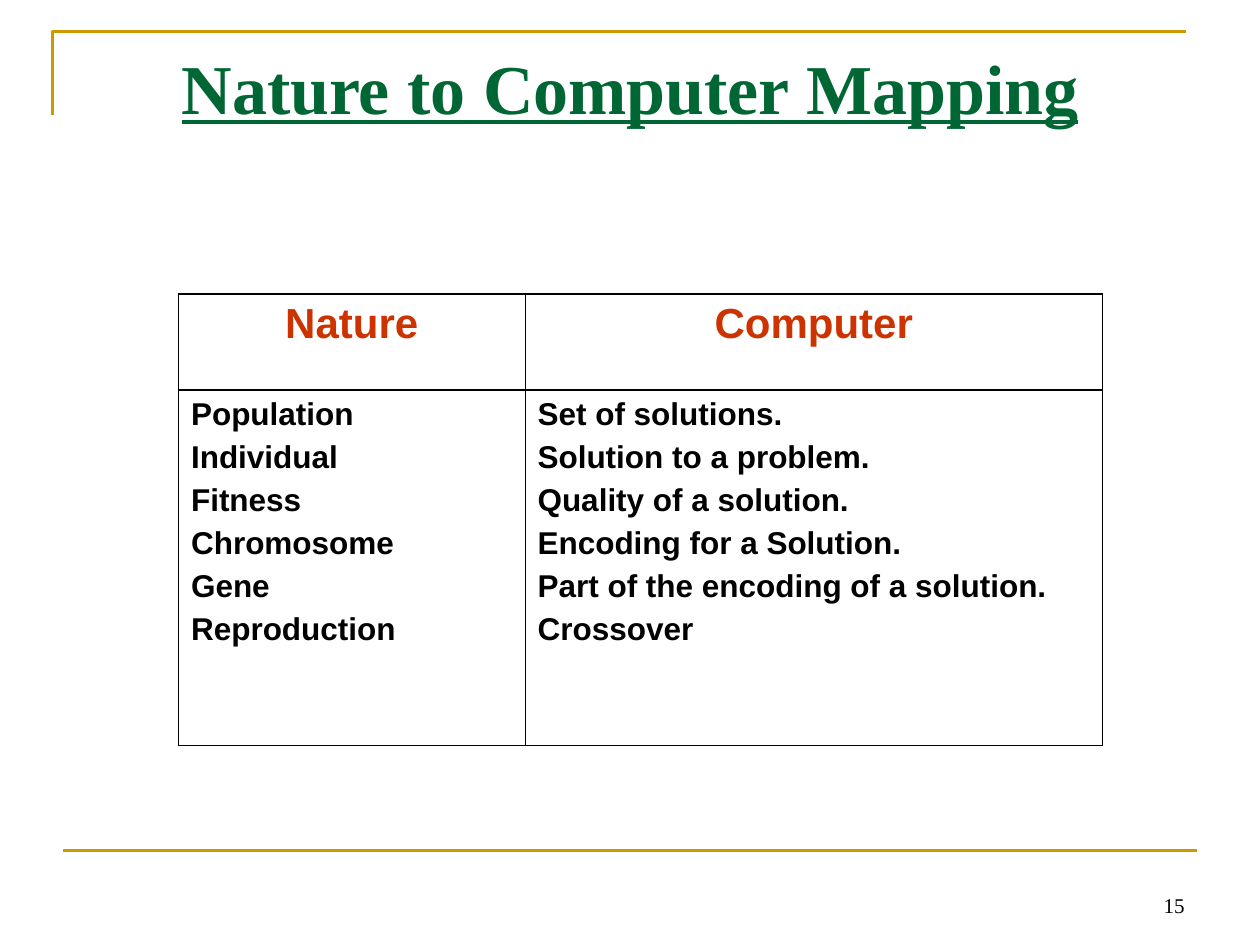
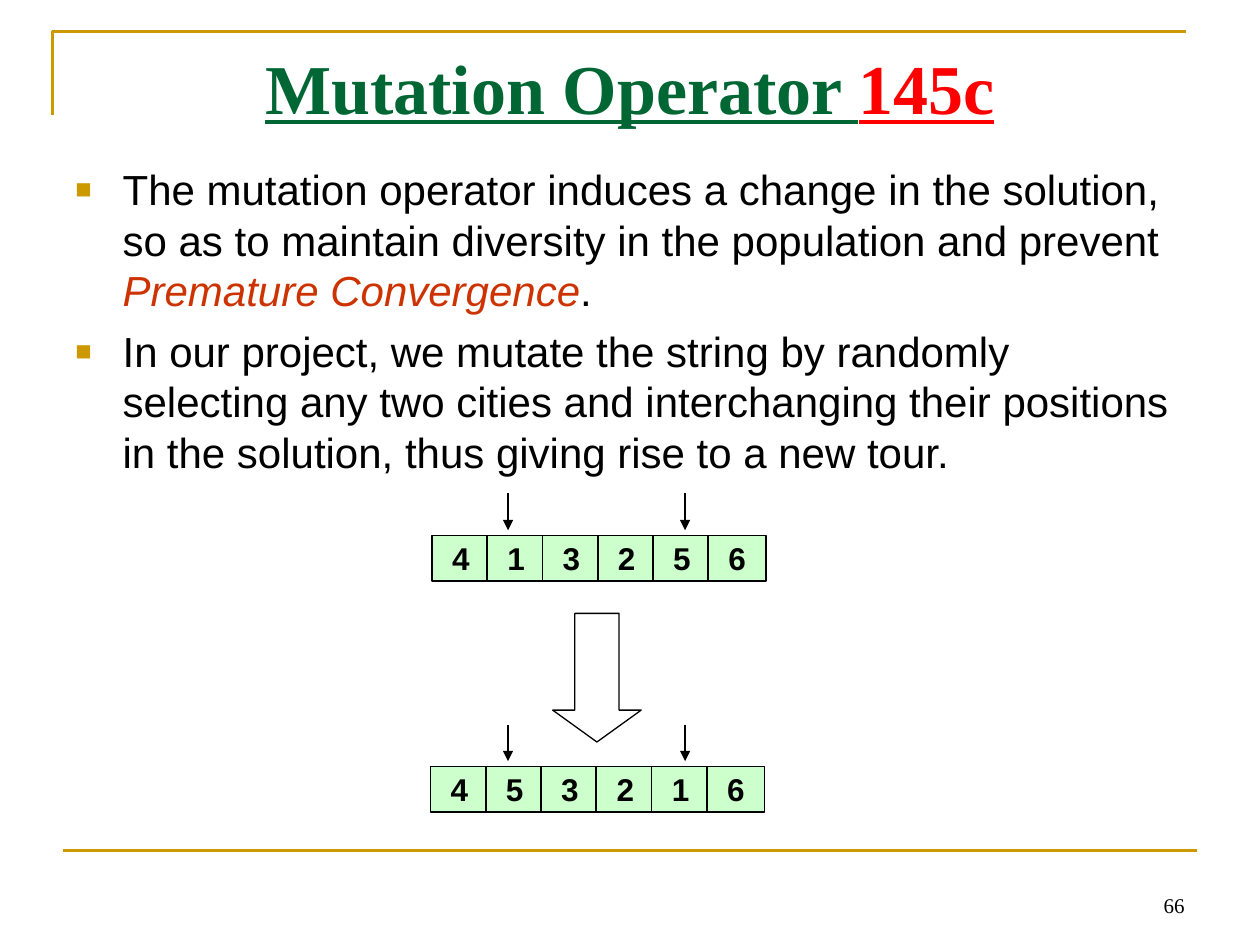
from lxml import etree
from pptx import Presentation
from pptx.dml.color import RGBColor
from pptx.enum import shapes, text
from pptx.oxml import ns
from pptx.util import Pt

COLORS = {
    "gold": "CC9900",
    "green": "006633",
    "red": "FF0000",
    "rust": "CC3300",
    "black": "000000",
    "white": "FFFFFF",
    "mint": "CCFFCC",
}
SERIF = "Times New Roman"
SANS = "Arial"
OUTER_BORDER = 1.08
INNER_BORDER = 0.45

MAPPING = {
    "Population": "Set of solutions.",
    "Individual": "Solution to a problem.",
    "Fitness": "Quality of a solution.",
    "Chromosome": "Encoding for a Solution.",
    "Gene": "Part of the encoding of a solution.",
    "Reproduction": "Crossover",
}
MUTATION_POINTS = [
    [
        ("The mutation operator induces a change in the solution, so as to maintain "
         "diversity in the population and prevent ", "black", False),
        ("Premature Convergence", "rust", True),
        (".", "black", False),
    ],
    [
        ("In our project, we mutate the string by randomly selecting any two cities and "
         "interchanging their positions in the solution, thus giving rise to a new tour.",
         "black", False),
    ],
]


def rgb(name):
    return RGBColor.from_string(COLORS[name])


def add_element(parent, tag, **attributes):
    return etree.SubElement(parent, ns.qn(tag), attributes)


def format_font(font, name, size, color, bold=False):
    font.name = name
    font.size = Pt(size)
    font.bold = bold
    font.color.rgb = rgb(color)


def outline(shape, color, width):
    shape.line.color.rgb = rgb(color)
    shape.line.width = Pt(width)


def add_line(slide, start, end, color, width, arrow=False):
    connector = slide.shapes.add_connector(
        shapes.MSO_CONNECTOR.STRAIGHT, *map(Pt, start + end))
    outline(connector, color, width)
    if arrow:
        add_element(connector.line._get_or_add_ln(), "a:tailEnd", type="triangle")
    add_element(connector._element.spPr, "a:effectLst")


def add_preset(container, preset, box, fill, width):
    shape = container.add_shape(preset, *map(Pt, box))
    shape.shadow.inherit = False
    shape.fill.solid()
    shape.fill.fore_color.rgb = rgb(fill)
    outline(shape, "black", width)
    return shape


def add_frame(slide, number):
    builder = slide.shapes.build_freeform(Pt(30), Pt(66))
    builder.add_line_segments([(Pt(30), Pt(18)), (Pt(678), Pt(18))], close=False)
    corner = builder.convert_to_shape()
    corner.shadow.inherit = False
    corner.fill.background()
    outline(corner, "gold", 1.5)
    add_line(slide, (36, 486), (684, 486), "gold", 1.5)

    number_box = slide.shapes.add_textbox(Pt(516), Pt(492), Pt(168), Pt(36))
    text_frame = number_box.text_frame
    text_frame.word_wrap = True
    text_frame.vertical_anchor = text.MSO_ANCHOR.BOTTOM
    text_frame.text = number
    paragraph = text_frame.paragraphs[0]
    paragraph.alignment = text.PP_ALIGN.RIGHT
    format_font(paragraph.runs[0].font, SERIF, 12, "black")


def add_titled_slide(presentation, title_runs, title_height, number):
    slide = presentation.slides.add_slide(presentation.slide_layouts[5])
    add_frame(slide, number)
    title = slide.shapes.title
    title.left, title.top, title.width, title.height = map(Pt, (36, 21.6, 648, title_height))
    text_frame = title.text_frame
    text_frame.auto_size = text.MSO_AUTO_SIZE.NONE
    text_frame.vertical_anchor = text.MSO_ANCHOR.TOP
    paragraph = text_frame.paragraphs[0]
    paragraph.alignment = text.PP_ALIGN.CENTER
    for words, color in title_runs:
        run = paragraph.add_run()
        run.text = words
        format_font(run.font, SERIF, 40, color, bold=True)
        run.font.underline = True
    return slide


def set_borders(cell, left, right):
    properties = cell._tc.get_or_add_tcPr()
    widths = {"L": left, "R": right, "T": OUTER_BORDER, "B": OUTER_BORDER}
    for side, width in widths.items():
        line = add_element(properties, f"a:ln{side}", w=str(Pt(width)))
        fill = add_element(line, "a:solidFill")
        add_element(fill, "a:srgbClr", val=COLORS["black"])


def fill_cell(cell, lines, size, color, alignment, gap):
    cell.text_frame.text = "\n".join(lines)
    for index, paragraph in enumerate(cell.text_frame.paragraphs):
        paragraph.alignment = alignment
        if index:
            paragraph.space_before = Pt(gap)
        format_font(paragraph.runs[0].font, SANS, size, color, bold=True)


def add_mapping_table(slide, left, top, column_widths, row_heights):
    frame = slide.shapes.add_table(
        2, 2, Pt(left), Pt(top), Pt(sum(column_widths)), Pt(sum(row_heights)))
    table = frame.table
    table.first_row = False
    table.horz_banding = False
    for row, height in zip(table.rows, row_heights):
        row.height = Pt(height)
    columns = [("Nature", MAPPING.keys()), ("Computer", MAPPING.values())]
    borders = [(OUTER_BORDER, INNER_BORDER), (INNER_BORDER, OUTER_BORDER)]
    for index, (heading, entries) in enumerate(columns):
        table.columns[index].width = Pt(column_widths[index])
        header, body = table.cell(0, index), table.cell(1, index)
        for cell in (header, body):
            set_borders(cell, *borders[index])
            cell.fill.background()
        fill_cell(header, [heading], 24, "rust", text.PP_ALIGN.CENTER, 0)
        fill_cell(body, entries, 18, "black", text.PP_ALIGN.LEFT, 4.5)


def add_bullets(slide, box, points):
    text_frame = slide.shapes.add_textbox(*map(Pt, box)).text_frame
    text_frame.word_wrap = True
    for index, runs in enumerate(points):
        paragraph = text_frame.add_paragraph() if index else text_frame.paragraphs[0]
        if index:
            paragraph.space_before = Pt(6)
        properties = paragraph._p.get_or_add_pPr()
        properties.set("marL", str(Pt(27)))
        properties.set("indent", str(-Pt(27)))
        bullet_color = add_element(properties, "a:buClr")
        add_element(bullet_color, "a:srgbClr", val=COLORS["gold"])
        add_element(properties, "a:buSzPct", val="65000")
        add_element(properties, "a:buFont", typeface=SANS)
        add_element(properties, "a:buChar", char="■")
        for words, color, italic in runs:
            run = paragraph.add_run()
            run.text = words
            format_font(run.font, SANS, 24, color)
            run.font.italic = italic


def add_tour(slide, left, top, cities):
    group = slide.shapes.add_group_shape()
    for index, city in enumerate(cities):
        box = (left + index * 31.6, top, 33, 26)
        square = add_preset(group.shapes, shapes.MSO_SHAPE.RECTANGLE, box, "mint", 1)
        text_frame = square.text_frame
        text_frame.word_wrap = False
        text_frame.vertical_anchor = text.MSO_ANCHOR.MIDDLE
        text_frame.text = city
        paragraph = text_frame.paragraphs[0]
        paragraph.alignment = text.PP_ALIGN.CENTER
        format_font(paragraph.runs[0].font, SANS, 18, "black", bold=True)


def add_swap_markers(slide, tour_top):
    for x in (290.3, 391.5):
        add_line(slide, (x, tour_top - 24), (x, tour_top - 3), "black", 0.75, arrow=True)


def add_mutation_diagram(slide, left, top):
    lower_top = top + 132
    add_tour(slide, left, top, "413256")
    add_tour(slide, left - 0.8, lower_top, "453216")
    arrow = add_preset(slide.shapes, shapes.MSO_SHAPE.DOWN_ARROW,
                       (left + 69, top + 44.5, 50.6, 73.5), "white", 0.75)
    arrow.adjustments[0] = 0.5
    arrow.adjustments[1] = 0.36
    for tour_top in (top, lower_top):
        add_swap_markers(slide, tour_top)


def main():
    presentation = Presentation()
    presentation.slide_width = Pt(720)
    presentation.slide_height = Pt(540)

    mapping_slide = add_titled_slide(
        presentation, [("Nature to Computer Mapping", "green")], 90, "15")
    add_mapping_table(mapping_slide, 102, 168, (198, 330), (55, 203))

    mutation_slide = add_titled_slide(
        presentation, [("Mutation Operator ", "green"), ("145c", "red")], 56, "66")
    add_bullets(mutation_slide, (36, 90, 648, 390), MUTATION_POINTS)
    add_mutation_diagram(mutation_slide, 246.8, 306)

    presentation.save("out.pptx")


if __name__ == "__main__":
    main()
